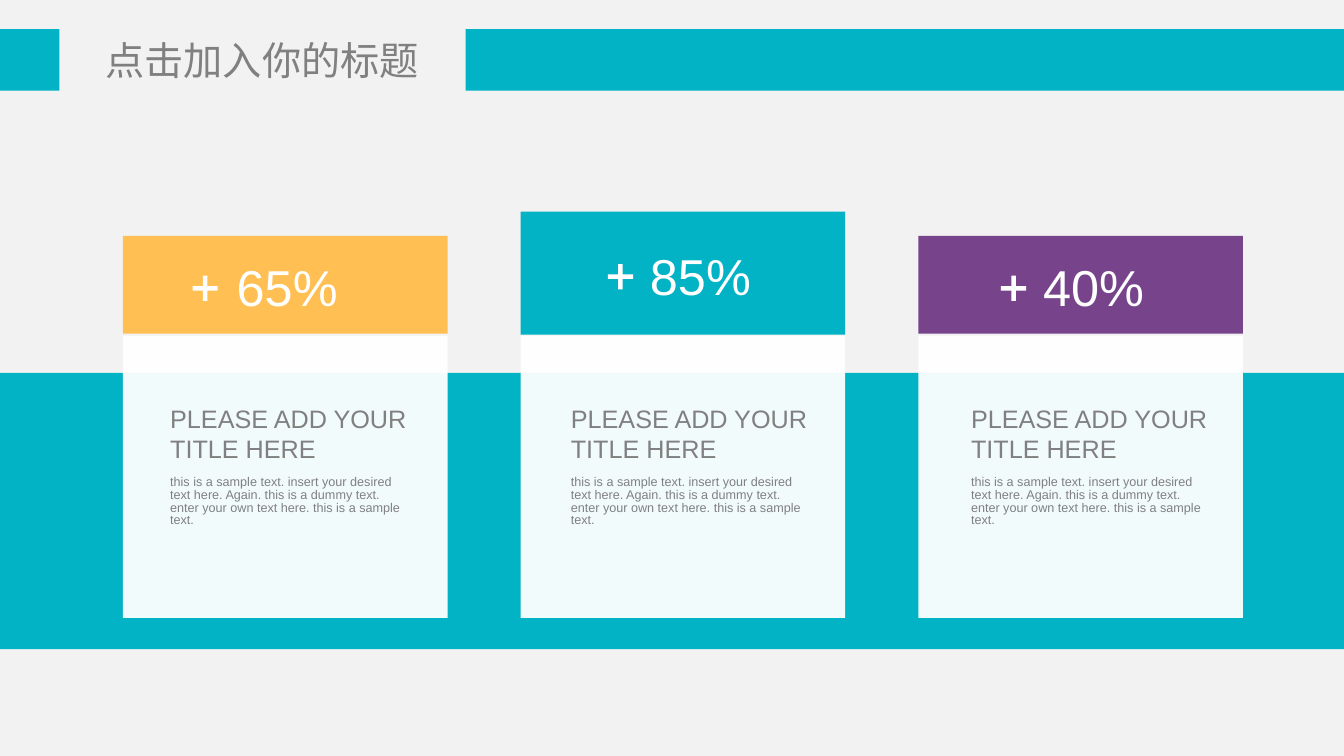
from lxml import etree
from pptx import Presentation
from pptx import util as u
from pptx.dml.color import RGBColor
from pptx.enum import shapes, text
from pptx.oxml.ns import qn

COLORS = {
    "background": "F2F2F2",
    "teal": "01B3C5",
    "amber": "FFBF53",
    "purple": "77448C",
    "white": "FFFFFF",
    "gray": "808080",
}
COLS, ROWS = 133.33, 75
CARD_LEFT, CARD_STEP, CARD_WIDTH = 12.2, 39.45, 32.2
PANEL_TOP, PANEL_HEIGHT = 33.3, 28

TITLE = "点击加入你的标题"
HEADING = "PLEASE ADD YOUR TITLE HERE"
BODY = ("this is a sample text. insert your desired text here. Again. "
        "this is a dummy text. enter your own text here. this is a sample text.")
CARDS = [
    {"value": "65%", "color": "amber", "top": 23.4, "height": 9.7,
     "text_left": 15.9, "value_left": 22.5, "plus_left": 19.1},
    {"value": "85%", "color": "teal", "top": 21, "height": 12.2,
     "text_left": 55.65, "value_left": 63.5, "plus_left": 60.3},
    {"value": "40%", "color": "purple", "top": 23.4, "height": 9.7,
     "text_left": 95.35, "value_left": 102.5, "plus_left": 99.3},
]


def write(tf, content, size, color, font="Arial", align=None, spacing=None):
    p = tf.paragraphs[0]
    p.alignment = align
    if spacing:
        p.line_spacing = u.Pt(spacing)
    r = p.add_run()
    r.text = content
    r.font.size = u.Pt(size)
    r.font.name = font
    r.font.color.rgb = RGBColor.from_string(COLORS[color])
    etree.SubElement(r.font._element, qn("a:ea"), typeface=font)


class Deck:
    def __init__(self):
        self.prs = Presentation()
        self.prs.slide_width = u.Inches(13.33)
        self.prs.slide_height = u.Inches(7.5)
        self.s = self.prs.slides.add_slide(self.prs.slide_layouts[6])
        self.paint(self.s.background.fill, "background")

    def x(self, cols):
        return round(self.prs.slide_width * cols / COLS)

    def y(self, rows):
        return round(self.prs.slide_height * rows / ROWS)

    def box(self, left, top, width, height):
        return self.x(left), self.y(top), self.x(width), self.y(height)

    def paint(self, fill, color, opacity=100):
        fill.solid()
        fill.fore_color.rgb = RGBColor.from_string(COLORS[color])
        if opacity < 100:
            rgb = fill._xPr.find(".//" + qn("a:srgbClr"))
            etree.SubElement(rgb, qn("a:alpha"), val=str(opacity * 1000))

    def finish(self, sp, color, opacity=100):
        self.paint(sp.fill, color, opacity)
        sp.line.fill.background()
        sp.shadow.inherit = False

    def shape(self, kind, bounds, color, opacity=100):
        sp = self.s.shapes.add_shape(kind, *self.box(*bounds))
        self.finish(sp, color, opacity)
        return sp

    def rect(self, bounds, color, opacity=100):
        return self.shape(shapes.MSO_SHAPE.RECTANGLE, bounds, color, opacity)

    def plus(self, left, top, size):
        sp = self.shape(shapes.MSO_SHAPE.CROSS, (left, top, size, size), "white")
        sp.adjustments[0] = 0.41

    def band(self, spans, top, bottom, color):
        builder = None
        for left, right in spans:
            x1, x2, y1, y2 = self.x(left), self.x(right), self.y(top), self.y(bottom)
            if builder is None:
                builder = self.s.shapes.build_freeform(x1, y1)
            else:
                builder.move_to(x1, y1)
            builder.add_line_segments([(x2, y1), (x2, y2), (x1, y2)], close=True)
        self.finish(builder.convert_to_shape(), color)

    def label(self, bounds, content, size, color, wrap=True, inset=True, **style):
        tf = self.s.shapes.add_textbox(*self.box(*bounds)).text_frame
        tf.word_wrap = wrap
        tf.auto_size = text.MSO_AUTO_SIZE.SHAPE_TO_FIT_TEXT
        if not inset:
            tf.margin_left = tf.margin_right = tf.margin_top = tf.margin_bottom = 0
        write(tf, content, size, color, **style)

    def card(self, index, value, color, top, height, text_left, value_left, plus_left):
        left = CARD_LEFT + index * CARD_STEP
        self.rect((left, top, CARD_WIDTH, height), color)
        self.rect((left, PANEL_TOP, CARD_WIDTH, PANEL_HEIGHT), "white", opacity=95)
        self.label((text_left, 46.8, 25.5, 6.1), BODY, 9, "gray", spacing=9)
        self.label((text_left, 39.5, 26.4, 7.1), HEADING, 18, "gray")
        middle = top + height / 2
        self.label((value_left, middle - 3.3, 16.2, 9.4), value, 36, "white", wrap=False)
        self.plus(plus_left, middle - 0.9, 2.5)


def main():
    deck = Deck()
    deck.rect((0, 37, COLS, 27.4), "teal")
    deck.band([(46.2, COLS), (0, 5.9)], 2.9, 9, "teal")
    deck.label((7.2, 3.6, 37.6, 4.7), TITLE, 28, "gray", inset=False,
               font="Noto Sans CJK SC", align=text.PP_ALIGN.CENTER)
    for index, card in enumerate(CARDS):
        deck.card(index, **card)
    deck.prs.save("out.pptx")


if __name__ == "__main__":
    main()
